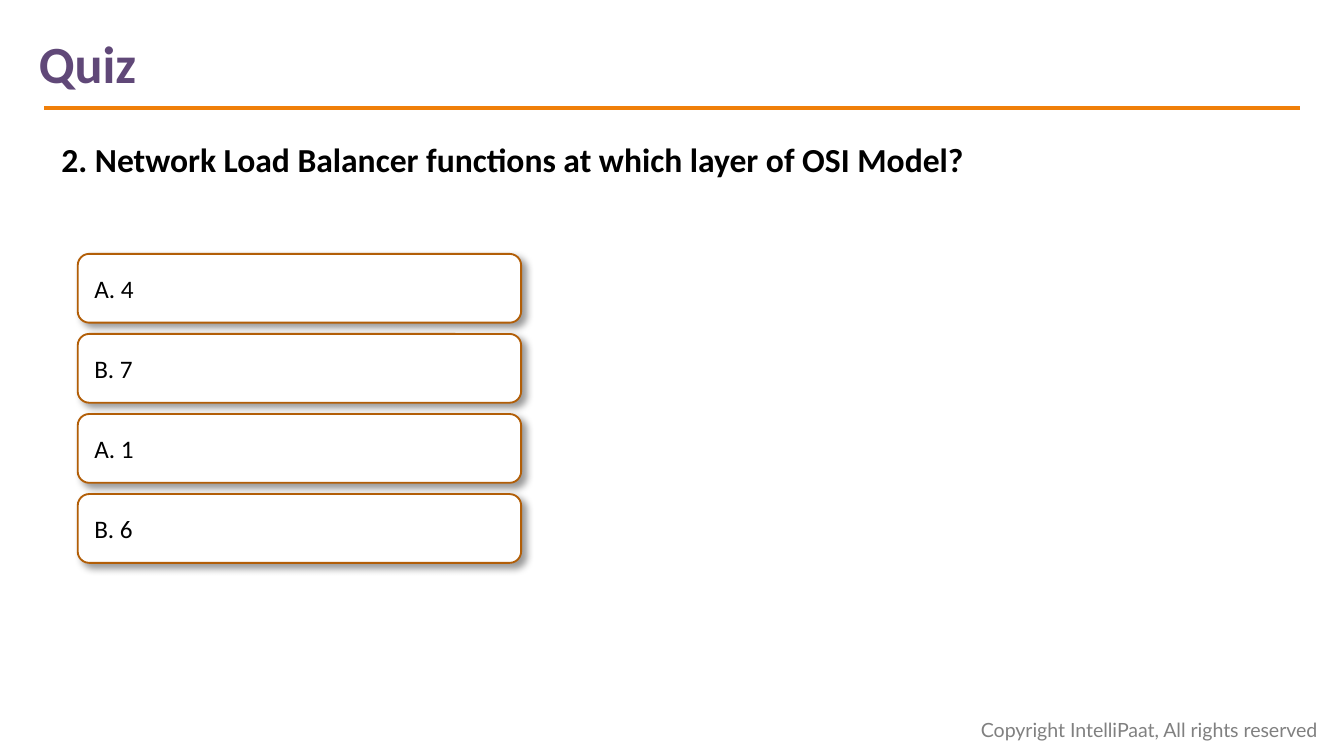
from lxml import etree
from pptx import Presentation
from pptx.dml.color import RGBColor
from pptx.enum.shapes import MSO_CONNECTOR, MSO_SHAPE
from pptx.enum.text import MSO_ANCHOR, MSO_AUTO_SIZE, PP_ALIGN
from pptx.oxml.ns import qn
from pptx.util import Cm, Pt

STRAIGHT = MSO_CONNECTOR.STRAIGHT
ROUNDED_RECTANGLE = MSO_SHAPE.ROUNDED_RECTANGLE
TOP, MIDDLE = MSO_ANCHOR.TOP, MSO_ANCHOR.MIDDLE
FIT_SHAPE, NO_FIT = MSO_AUTO_SIZE.SHAPE_TO_FIT_TEXT, MSO_AUTO_SIZE.NONE
LEFT = PP_ALIGN.LEFT

WHITE = RGBColor(0xFF, 0xFF, 0xFF)
BLACK = RGBColor(0x00, 0x00, 0x00)
GREY = RGBColor(0x80, 0x80, 0x80)
PURPLE = RGBColor(0x60, 0x48, 0x78)
ORANGE = RGBColor(0xF0, 0x7F, 0x09)
BROWN = RGBColor(0xB2, 0x5E, 0x07)

TITLE_ONLY_LAYOUT = 5
ANSWERS = ["A. 4", "B. 7", "A. 1", "B. 6"]


def write_text(shape, text, size, color, font="Calibri", bold=False,
               anchor=TOP, wrap=True, auto_size=FIT_SHAPE):
    frame = shape.text_frame
    frame.word_wrap = wrap
    frame.auto_size = auto_size
    frame.vertical_anchor = anchor
    paragraph = frame.paragraphs[0]
    paragraph.alignment = LEFT
    run = paragraph.add_run()
    run.text = text
    run.font.name = font
    run.font.size = Pt(size)
    run.font.bold = bold
    run.font.color.rgb = color


def add_drop_shadow(shape):
    """Give the shape a soft black shadow towards the lower right."""
    shape.shadow.inherit = False
    effects = shape._element.spPr.find(qn("a:effectLst"))
    shadow = etree.SubElement(
        effects, qn("a:outerShdw"), blurRad=str(Pt(4)), dist=str(Pt(3)),
        dir=str(45 * 60000), algn="tl", rotWithShape="0")
    color = etree.SubElement(shadow, qn("a:srgbClr"), val=str(BLACK))
    etree.SubElement(color, qn("a:alpha"), val="40000")


def add_title(slide, left, top, width, height):
    title = slide.shapes.title
    title.left, title.top, title.width, title.height = left, top, width, height
    write_text(title, "Quiz", 28, PURPLE, bold=True, wrap=False)


def add_rule(slide, left, top, width):
    rule = slide.shapes.add_connector(STRAIGHT, left, top, left + width, top)
    rule.line.color.rgb = ORANGE
    rule.line.width = Pt(2.25)
    etree.SubElement(rule._element.spPr, qn("a:effectLst"))


def add_question(slide, left, top, width, height):
    question = slide.shapes.add_textbox(left, top, width, height)
    write_text(question,
               "2. Network Load Balancer functions at which layer of OSI Model?",
               18, BLACK, bold=True)


def add_answers(slide, left, top, width, height):
    """Stack the answer boxes evenly from the top to the bottom of the area."""
    box_height = Cm(1.3)
    pitch = (height - box_height) // (len(ANSWERS) - 1)
    for index, answer in enumerate(ANSWERS):
        box = slide.shapes.add_shape(
            ROUNDED_RECTANGLE, left, top + index * pitch, width, box_height)
        box.fill.solid()
        box.fill.fore_color.rgb = WHITE
        box.line.color.rgb = BROWN
        box.line.width = Pt(1)
        add_drop_shadow(box)
        write_text(box, answer, 13.5, BLACK, anchor=MIDDLE, auto_size=NO_FIT)


def add_copyright(slide, left, top, width, height):
    notice = slide.shapes.add_textbox(left, top, width, height)
    write_text(notice, "Copyright IntelliPaat, All rights reserved",
               10.5, GREY, font="Lato", wrap=False)


def main():
    presentation = Presentation()
    presentation.slide_width = Cm(25.4)
    presentation.slide_height = Cm(14.29)
    layout = presentation.slide_layouts[TITLE_ONLY_LAYOUT]
    slide = presentation.slides.add_slide(layout)

    add_copyright(slide, Cm(18.29), Cm(13.44), Cm(7.11), Cm(0.71))
    add_rule(slide, Cm(0.84), Cm(2.05), Cm(23.72))
    add_title(slide, Cm(0.48), Cm(0.46), Cm(2.36), Cm(1.45))
    add_question(slide, Cm(0.91), Cm(2.51), Cm(22.53), Cm(1.02))
    add_answers(slide, Cm(1.47), Cm(4.8), Cm(8.38), Cm(5.84))

    presentation.save("out.pptx")


if __name__ == "__main__":
    main()
